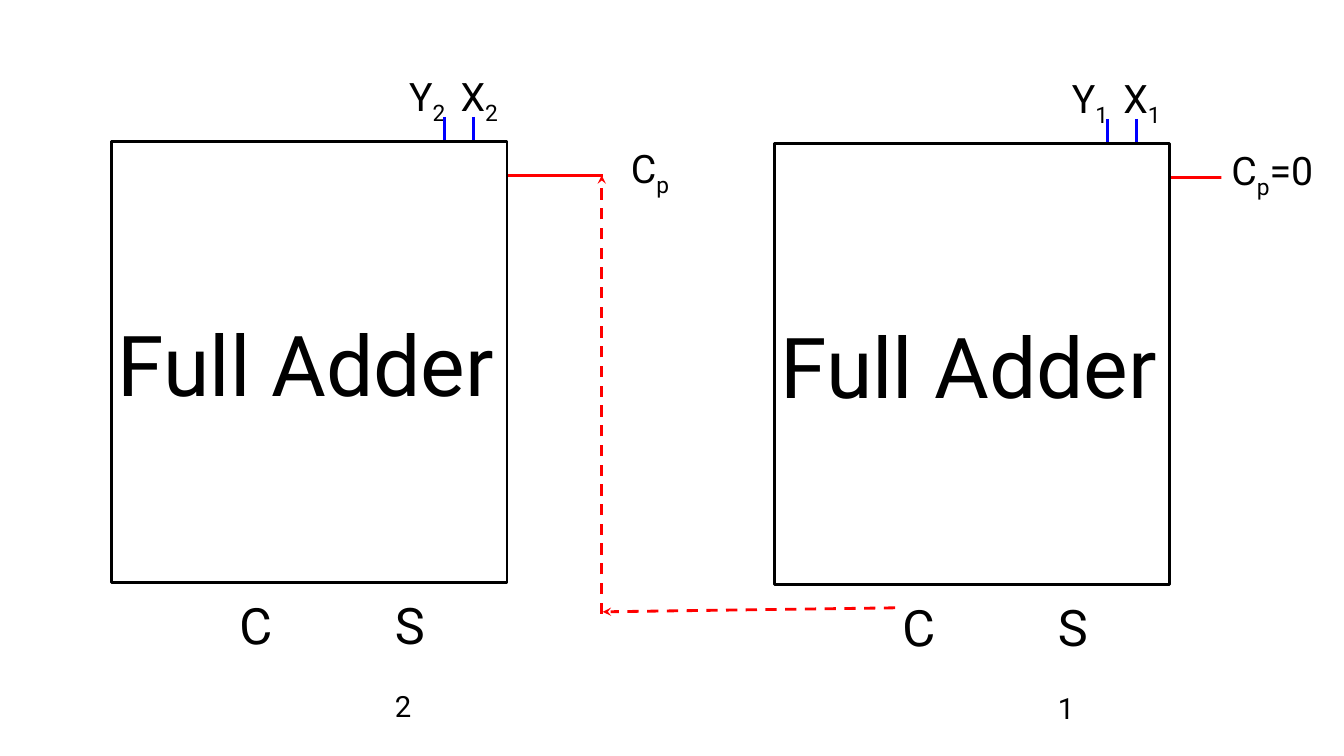
import dataclasses

import lxml.etree
import pptx
import pptx.dml.color
import pptx.enum.dml
import pptx.enum.shapes
import pptx.enum.text
import pptx.oxml.ns
import pptx.util

COLS, ROWS = 40, 22.5
BLACK, WHITE, RED, BLUE = "000000", "FFFFFF", "FF0000", "0000FF"

prs = pptx.Presentation()
prs.slide_width = pptx.util.Inches(13.33)
prs.slide_height = pptx.util.Inches(7.5)
s = prs.slides.add_slide(prs.slide_layouts[6])


@dataclasses.dataclass
class Box:
    col: float
    row: float
    cols: float
    rows: float


@dataclasses.dataclass
class Label:
    box: Box
    base: str
    sub: str = ""
    tail: str = ""
    size: int = 28
    fill: str | None = WHITE
    rotation: float = 0
    wrap: bool = False


@dataclasses.dataclass
class Wire:
    start: tuple[float, float]
    end: tuple[float, float]
    color: str
    dashed_arrow: bool = False


@dataclasses.dataclass
class Adder:
    col: float
    row: float
    index: str
    carry_in: Label


def x(cols: float) -> int:
    return round(prs.slide_width * cols / COLS)


def y(rows: float) -> int:
    return round(prs.slide_height * rows / ROWS)


def rgb(color: str) -> pptx.dml.color.RGBColor:
    return pptx.dml.color.RGBColor.from_string(color)


def place(box: Box, col: float, row: float) -> tuple[int, int, int, int]:
    return x(col + box.col), y(row + box.row), x(box.cols), y(box.rows)


def add_run(p, text: str, *, size: int, color: str = BLACK, baseline: int = 0) -> None:
    r = p.add_run()
    r.text = text
    r.font.name = "Roboto"
    r.font.size = pptx.util.Pt(size)
    r.font.color.rgb = rgb(color)
    if baseline:
        r.font._element.set("baseline", str(baseline))


def draw_label(label: Label, col: float, row: float) -> None:
    sp = s.shapes.add_textbox(*place(label.box, col, row))
    sp.rotation = label.rotation
    if label.fill:
        sp.fill.solid()
        sp.fill.fore_color.rgb = rgb(label.fill)
    tf = sp.text_frame
    tf.word_wrap = label.wrap
    tf.auto_size = pptx.enum.text.MSO_AUTO_SIZE.SHAPE_TO_FIT_TEXT
    p = tf.paragraphs[0]
    for text, baseline in ((label.base, 0), (label.sub, -25000), (label.tail, 0)):
        if text:
            add_run(p, text, size=label.size, baseline=baseline)


def draw_wire(wire: Wire, col: float = 0, row: float = 0) -> None:
    (x1, y1), (x2, y2) = wire.start, wire.end
    line = s.shapes.add_connector(
        pptx.enum.shapes.MSO_CONNECTOR.STRAIGHT,
        x(col + x1), y(row + y1), x(col + x2), y(row + y2),
    )
    line.line.color.rgb = rgb(wire.color)
    line.line.width = pptx.util.Pt(2)
    if wire.dashed_arrow:
        line.line.dash_style = pptx.enum.dml.MSO_LINE.DASH
        ln = line.line._get_or_add_ln()
        lxml.etree.SubElement(ln, pptx.oxml.ns.qn("a:tailEnd"), type="stealth")
    lxml.etree.SubElement(line._element.spPr, pptx.oxml.ns.qn("a:effectLst"))


def draw_body(box: Box, col: float, row: float) -> None:
    sp = s.shapes.add_shape(
        pptx.enum.shapes.MSO_SHAPE.RECTANGLE, *place(box, col, row)
    )
    sp.shadow.inherit = False
    sp.fill.solid()
    sp.fill.fore_color.rgb = rgb(WHITE)
    sp.line.color.rgb = rgb(BLACK)
    sp.line.width = pptx.util.Pt(2)


def draw_adder(adder: Adder) -> None:
    at = adder.col, adder.row
    draw_wire(Wire((14.61, 1.02), (0.48, 1.02), RED), *at)
    labels = [
        Label(Box(3.51, 13.35, 1.53, 2.13), "C", size=36, fill=None, rotation=-2.8),
        Label(Box(10.08, -2.19, 1.71, 1.71), "X", adder.index),
        Label(Box(8.55, -2.2, 1.68, 1.71), "Y", adder.index),
        adder.carry_in,
        Label(Box(8.13, 13.32, 1.95, 2.13), "S", adder.index, size=36, wrap=True),
    ]
    for label in labels:
        draw_label(label, *at)
    for col, depth in ((10.77, 2.82), (9.9, 1.89)):
        draw_wire(Wire((col, -0.72), (col, depth), BLUE), *at)
    draw_body(Box(0, 0, 11.76, 13.14), *at)
    draw_label(
        Label(Box(-0.12, 4.95, 11.97, 3.33), "Full Adder", size=60, fill=None), *at
    )


def main() -> None:
    adders = [
        Adder(23.06, 4.26, "1", Label(Box(13.29, -0.04, 3.24, 1.71), "C", "p", "=0")),
        Adder(3.33, 4.2, "2", Label(Box(15.15, -0.06, 1.8, 1.71), "C", "p")),
    ]
    for adder in adders:
        draw_adder(adder)
    draw_wire(Wire((26.64, 18.09), (17.94, 18.21), RED, dashed_arrow=True))
    draw_wire(Wire((17.91, 18.27), (17.91, 5.22), RED, dashed_arrow=True))
    prs.save("out.pptx")


if __name__ == "__main__":
    main()
